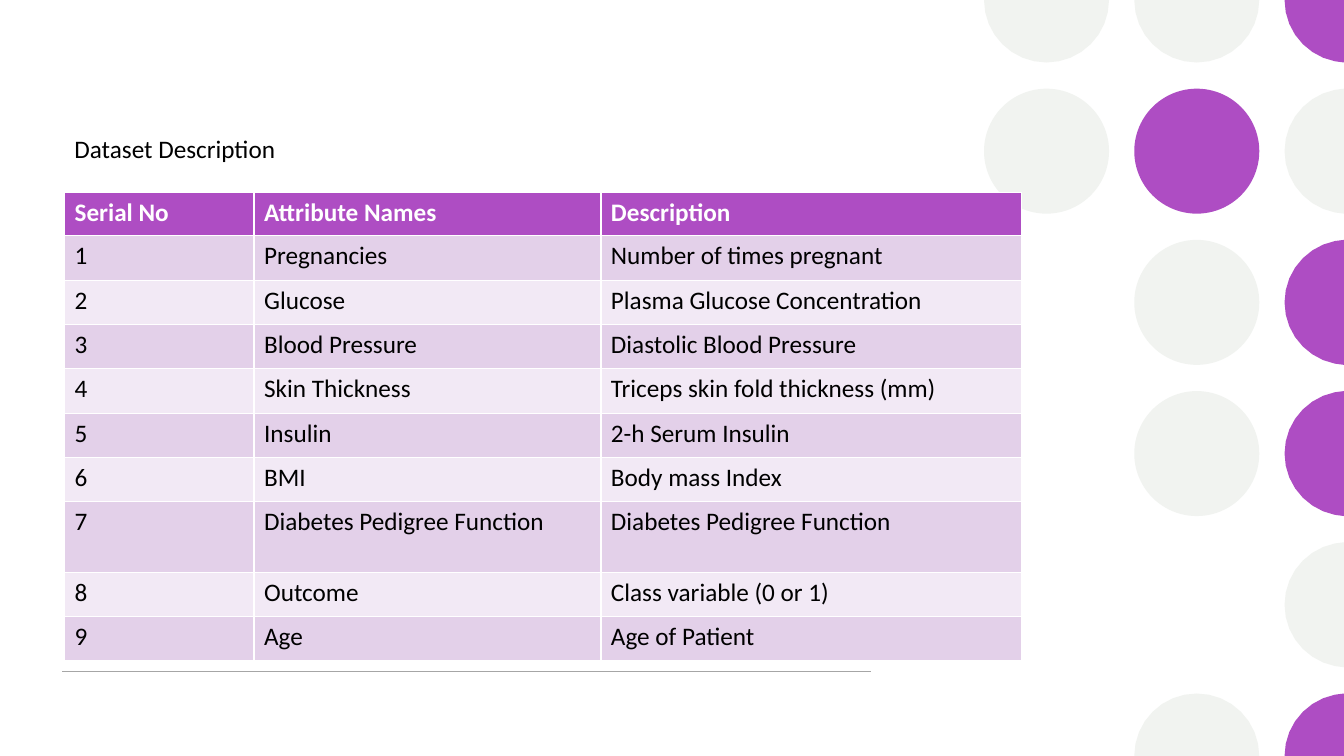
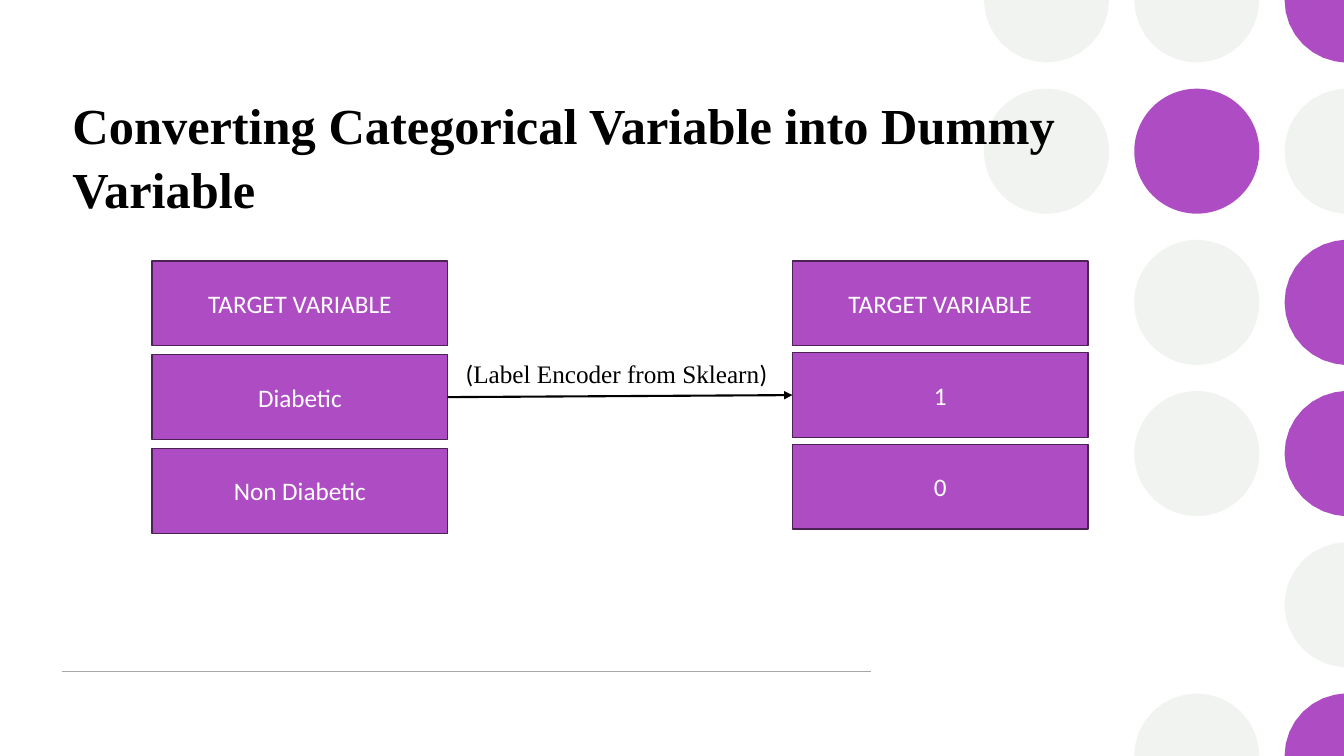
from math import cos, pi, sin

from lxml import etree
from pptx import Presentation
from pptx.dml.color import RGBColor
from pptx.enum.shapes import MSO_CONNECTOR, MSO_SHAPE
from pptx.enum.text import MSO_ANCHOR, PP_ALIGN
from pptx.oxml.ns import qn
from pptx.util import Inches, Pt

LINE, OVAL, BOX = MSO_CONNECTOR.STRAIGHT, MSO_SHAPE.OVAL, MSO_SHAPE.FLOWCHART_PROCESS
TOP, MID, LEFT, CENTER = MSO_ANCHOR.TOP, MSO_ANCHOR.MIDDLE, PP_ALIGN.LEFT, PP_ALIGN.CENTER

# Content
CAPTION = "Dataset Description"
ROWS = [
    ("Serial No", "Attribute Names", "Description"),
    ("1", "Pregnancies", "Number of times pregnant"),
    ("2", "Glucose", "Plasma Glucose Concentration"),
    ("3", "Blood Pressure", "Diastolic Blood Pressure"),
    ("4", "Skin Thickness", "Triceps skin fold thickness (mm)"),
    ("5", "Insulin", "2-h Serum Insulin"),
    ("6", "BMI", "Body mass Index"),
    ("7", "Diabetes Pedigree Function", "Diabetes Pedigree Function"),
    ("8", "Outcome", "Class variable (0 or 1)"),
    ("9", "Age", "Age of Patient"),
]
TITLE = "Converting Categorical Variable into Dummy Variable"
# Each stack: left edge, row pitch, labels
STACKS = [
    (1.51, 0.93, ["TARGET VARIABLE", "Diabetic", "Non Diabetic"]),
    (7.86, 0.91, ["TARGET VARIABLE", "1", "0"]),
]
NOTE = [("(", "body"), ("Label Encoder from Sklearn", "serif"), (")", "body")]
# Dot grid, one string a row: g grey, p purple, . none
DOTS = ["ggp", "gpg", ".gp", ".gp", "..g", ".gp"]

# Theme
COLORS = {"p": "AE4DC3", "g": "F1F3F0", "rule": "A6A6A6", "edge": "4C2255",
          "ink": "000000", "paper": "FFFFFF", "odd": "E3D0E9", "even": "F2E9F5"}
THEME = {
    "color": {name: RGBColor.from_string(code) for name, code in COLORS.items()},
    "font": {
        "body": {"name": "Calibri", "size": Pt(18), "bold": False},
        "head": {"name": "Calibri", "size": Pt(18), "bold": True},
        "serif": {"name": "Times New Roman", "size": Pt(18), "bold": False},
        "title": {"name": "Times New Roman", "size": Pt(36), "bold": True},
    },
}
WIDE, HIGH = 13.33, 7.5
DOT_X, STEP_X, STEP_Y, RADIUS, SIDES = 10.38, 1.49, 1.5, 0.62, 32
COLS, HEAD_H, ROW_H, TALL_H, TALL = (1.88, 3.44, 4.17), 0.43, 0.44, 0.7, 7
BOX_W, BOX_H, BOX_Y = 2.93, 0.84, 2.59


def paint(shape, fill, edge=None):
    shape.shadow.inherit = False
    shape.fill.solid()
    shape.fill.fore_color.rgb = THEME["color"][fill]
    if edge:
        shape.line.color.rgb = THEME["color"][edge]
        shape.line.width = Pt(1)
    else:
        shape.line.fill.background()


def write(frame, runs, color="ink", align=LEFT):
    para = frame.paragraphs[0]
    para.alignment = align
    for text, style in runs:
        run = para.add_run()
        run.text = text
        for key, value in THEME["font"][style].items():
            setattr(run.font, key, value)
        run.font.color.rgb = THEME["color"][color]
    return para


def label(slide, area, runs, anchor=TOP):
    frame = slide.shapes.add_textbox(*map(Inches, area)).text_frame
    frame.word_wrap = True
    frame.vertical_anchor = anchor
    return write(frame, runs)


def stroke(slide, ends, color, width):
    line = slide.shapes.add_connector(LINE, *map(Inches, ends))
    line.line.color.rgb = THEME["color"][color]
    line.line.width = Pt(width)
    etree.SubElement(line._element.spPr, qn("a:effectLst"))
    return line


def outline(x, y):
    """Corners of a circle held within the slide, without needless ones."""
    turns = [2 * pi * i / SIDES for i in range(SIDES)]
    held = [(Inches(min(x + RADIUS * cos(t), WIDE)),
             Inches(min(max(y + RADIUS * sin(t), 0), HIGH))) for t in turns]
    held = list(dict.fromkeys(held))
    trios = zip(held[-1:] + held[:-1], held, held[1:] + held[:1])
    return [b for a, b, c in trios
            if not any(a[k] == b[k] == c[k] for k in (0, 1))]


def dot(slide, x, y, color):
    """A circle, cut where it meets the edge of the slide."""
    if x + RADIUS <= WIDE and RADIUS <= y <= HIGH - RADIUS:
        area = (x - RADIUS, y - RADIUS, 2 * RADIUS, 2 * RADIUS)
        shape = slide.shapes.add_shape(OVAL, *map(Inches, area))
    else:
        first, *rest = outline(x, y)
        form = slide.shapes.build_freeform(*first)
        form.add_line_segments(rest, close=True)
        shape = form.convert_to_shape()
    paint(shape, color)


def start(deck):
    """A blank slide with the shared dots and rule."""
    slide = deck.slides.add_slide(deck.slide_layouts[6])
    for r, row in enumerate(DOTS):
        for c, color in enumerate(row):
            if color != ".":
                dot(slide, DOT_X + c * STEP_X, r * STEP_Y, color)
    stroke(slide, (0.62, 6.66, 8.64, 6.66), "rule", 1)
    return slide


def dataset(deck):
    slide = start(deck)
    highs = [HEAD_H] + [ROW_H] * (len(ROWS) - 1)
    highs[TALL] = TALL_H
    area = (0.64, 1.91, sum(COLS), sum(highs))
    table = slide.shapes.add_table(len(ROWS), len(COLS), *map(Inches, area)).table
    for col, width in zip(table.columns, COLS):
        col.width = Inches(width)
    for r, row in enumerate(ROWS):
        table.rows[r].height = Inches(highs[r])
        fill = "p" if r == 0 else "odd" if r % 2 else "even"
        style, color = ("body", "ink") if r else ("head", "paper")
        for c, text in enumerate(row):
            cell = table.cell(r, c)
            cell.fill.solid()
            cell.fill.fore_color.rgb = THEME["color"][fill]
            write(cell.text_frame, [(text, style)], color)
    label(slide, (0.64, 1.27, 6.67, 0.4), [(CAPTION, "body")])


def encoding(deck):
    slide = start(deck)
    label(slide, (0.62, 0.84, 10.32, 1.39), [(TITLE, "title")], MID).line_spacing = 1.05
    # Two stacks of boxes
    mids = []
    for x, pitch, names in STACKS:
        boxes = []
        for i, name in enumerate(names):
            area = (x, BOX_Y + i * pitch, BOX_W, BOX_H)
            box = slide.shapes.add_shape(BOX, *map(Inches, area))
            paint(box, "p", "edge")
            box.text_frame.vertical_anchor = MID
            write(box.text_frame, [(name, "body")], "paper", CENTER)
            boxes.append(box)
        mids.append(boxes[1])
    # Arrow between the middle boxes
    arrow = stroke(slide, (0, 0, 1, 1), "ink", 1.5)
    arrow.begin_connect(mids[0], 3)
    arrow.end_connect(mids[1], 1)
    etree.SubElement(arrow.line._get_or_add_ln(), qn("a:tailEnd"), type="triangle")
    label(slide, (4.52, 3.51, 3.42, 0.4), NOTE)


def main():
    deck = Presentation()
    deck.slide_width, deck.slide_height = Inches(WIDE), Inches(HIGH)
    dataset(deck)
    encoding(deck)
    deck.save("out.pptx")


if __name__ == "__main__":
    main()
